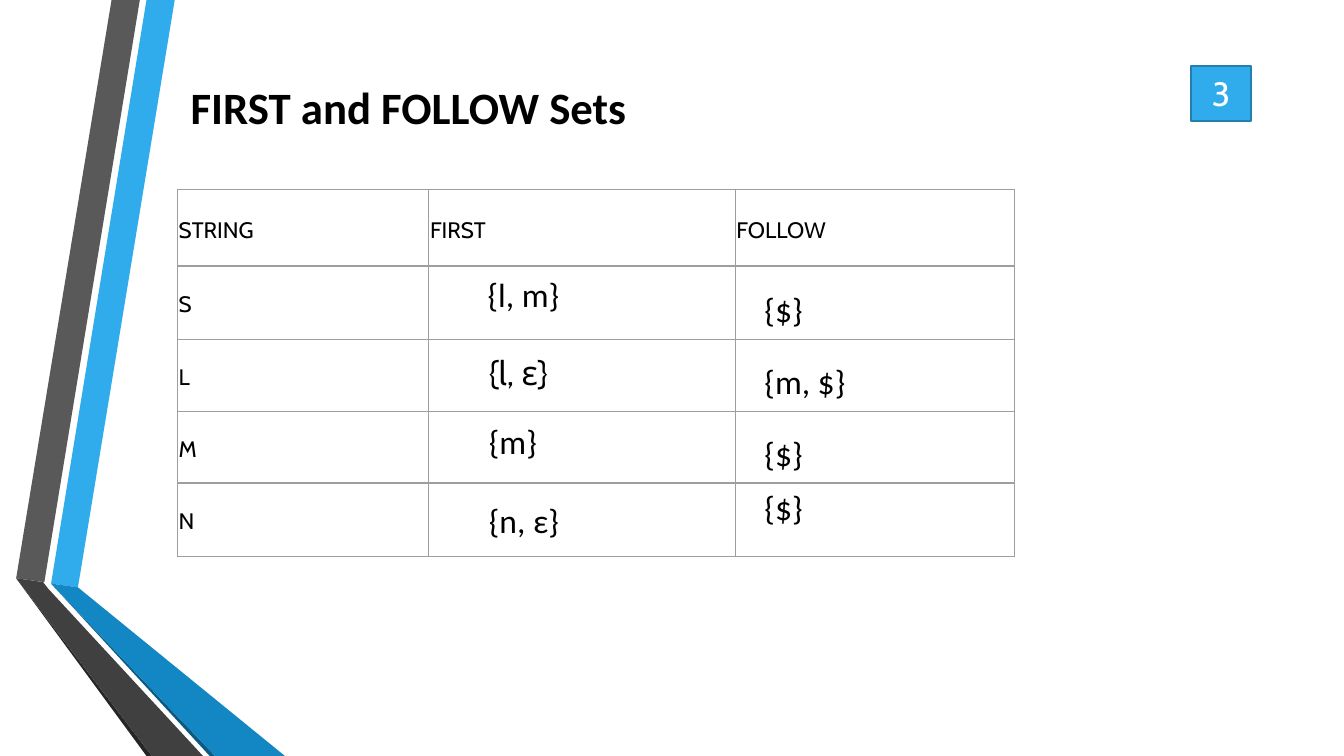
"""Build the slide that lists the FIRST and FOLLOW sets of a grammar."""
from lxml import etree
from pptx import Presentation
from pptx.dml.color import RGBColor
from pptx.enum.shapes import MSO_SHAPE
from pptx.enum.text import MSO_ANCHOR, PP_ALIGN
from pptx.oxml.ns import qn
from pptx.util import Inches, Pt

RECT = MSO_SHAPE.RECTANGLE
MIDDLE, TOP = MSO_ANCHOR.MIDDLE, MSO_ANCHOR.TOP
CENTER = PP_ALIGN.CENTER

BLACK = RGBColor(0x00, 0x00, 0x00)
WHITE = RGBColor(0xFF, 0xFF, 0xFF)
SKY = RGBColor(0x30, 0xAC, 0xEC)
BLUE = RGBColor(0x12, 0x87, 0xC3)
NAVY = RGBColor(0x0C, 0x5A, 0x82)
EDGE = RGBColor(0x24, 0x7F, 0xAF)
GRAY = RGBColor(0x59, 0x59, 0x59)
CHARCOAL = RGBColor(0x40, 0x40, 0x40)
SOOT = RGBColor(0x26, 0x26, 0x26)
BORDER = RGBColor(0x9E, 0x9E, 0x9E)

WIDTH, HEIGHT = Inches(10), Inches(5.625)

RIBBONS = [
    (SKY, [(3.8, 77.2), (5.8, 77.7), (13, 0), (10.9, 0)]),
    (GRAY, [(10.4, 0), (8.3, 0), (1.2, 76.5), (3.3, 77)]),
    (SOOT, [(1.2, 76.5), (10.9, 100), (11.3, 100)]),
    (NAVY, [(3.8, 77.2), (15.6, 100), (16, 100)]),
    (BLUE, [(3.8, 77.2), (16, 100), (21.2, 100), (5.8, 77.7)]),
    (CHARCOAL, [(15.1, 100), (3.6, 77.9), (3.2, 77), (1.2, 76.5), (11.3, 100)]),
]
HEADERS = ["STRING", "FIRST", "FOLLOW"]
SYMBOLS = ["S", "L", "M", "N"]
COLUMNS = [18.7, 22.8, 20.8]
ROWS = [10.1, 9.7, 9.5, 9.5, 9.7]
SETS = [
    ("{l, m}", 35.3, 35.4, "Calibri"),
    ("{l, ε}", 35.4, 45.7, "Cabin"),
    ("{m}", 35.4, 54.8, "Calibri"),
    ("{n, ε}", 35.4, 65.2, "Calibri"),
    ("{$}", 55.9, 37.3, "Calibri"),
    ("{m, $}", 55.9, 46.9, "Calibri"),
    ("{$}", 55.9, 56.4, "Calibri"),
    ("{$}", 55.9, 63.5, "Calibri"),
]


def across(percent):
    """Return a share of the slide's width."""
    return round(WIDTH * percent / 100)


def down(percent):
    """Return a share of the slide's height."""
    return round(HEIGHT * percent / 100)


def area(x, y, w, h):
    """Return a rectangle given in percent of the slide."""
    return across(x), down(y), across(w), down(h)


def write(tf, text, size, font, color=BLACK, bold=False):
    """Put one formatted paragraph in a text frame and return it."""
    tf.text = text
    p = tf.paragraphs[0]
    r = p.runs[0]
    r.font.size, r.font.name, r.font.bold = Pt(size), font, bold
    r.font.color.rgb = color
    return p


def add_ribbon(s, color, points):
    """Draw a filled polygon."""
    corners = [(across(x), down(y)) for x, y in points]
    builder = s.shapes.build_freeform(*corners[0])
    builder.add_line_segments(corners[1:], close=True)
    sp = builder.convert_to_shape()
    sp.shadow.inherit = False
    sp.fill.solid()
    sp.fill.fore_color.rgb = color
    sp.line.fill.background()


def add_text(s, box, text, size, font, anchor=TOP, bold=False):
    """Add a wrapping text box."""
    tf = s.shapes.add_textbox(*area(*box)).text_frame
    tf.word_wrap = True
    tf.vertical_anchor = anchor
    write(tf, text, size, font, bold=bold)


def add_badge(s, box, text):
    """Add the page number square."""
    sp = s.shapes.add_shape(RECT, *area(*box))
    sp.shadow.inherit = False
    sp.fill.solid()
    sp.fill.fore_color.rgb = SKY
    sp.line.color.rgb = EDGE
    sp.line.width = Pt(1.25)
    sp.text_frame.vertical_anchor = MIDDLE
    write(sp.text_frame, text, 18, "Cabin", WHITE).alignment = CENTER


def style_cell(cell):
    """Give a cell thin borders and no fill."""
    tc_pr = cell._tc.get_or_add_tcPr()
    for side in ("a:lnL", "a:lnR", "a:lnT", "a:lnB"):
        ln = etree.SubElement(tc_pr, qn(side), w=str(Pt(0.75)))
        fill = etree.SubElement(ln, qn("a:solidFill"))
        etree.SubElement(fill, qn("a:srgbClr"), val=str(BORDER))
    cell.fill.background()


def fill_cell(cell, text):
    """Write a label in a table cell."""
    cell.vertical_anchor = MIDDLE
    cell.margin_left = cell.margin_right = Inches(0.01)
    cell.margin_top = cell.margin_bottom = Inches(0.01)
    p = write(cell.text_frame, text, 12, "Cabin")
    p.line_spacing = 1.15
    p.space_after = Pt(8)


def add_sets_table(s, x, y):
    """Add the grid with its header row and symbol column."""
    box = area(x, y, sum(COLUMNS), sum(ROWS))
    table = s.shapes.add_table(len(ROWS), len(COLUMNS), *box).table
    table.first_row = table.horz_banding = False
    for column, width in zip(table.columns, COLUMNS):
        column.width = across(width)
    for row, height in zip(table.rows, ROWS):
        row.height = down(height)
    for cell in table.iter_cells():
        style_cell(cell)
    for i, text in enumerate(HEADERS):
        fill_cell(table.cell(0, i), text)
    for i, text in enumerate(SYMBOLS, 1):
        fill_cell(table.cell(i, 0), text)


def main():
    """Build and save the slide."""
    prs = Presentation()
    prs.slide_width, prs.slide_height = WIDTH, HEIGHT
    s = prs.slides.add_slide(prs.slide_layouts[6])
    for color, points in RIBBONS:
        add_ribbon(s, color, points)
    add_sets_table(s, 13.2, 25.1)
    add_text(s, (13.2, 9.6, 63.8, 8.9), "FIRST and FOLLOW Sets", 24, "Calibri",
             MIDDLE, True)
    for text, x, y, font in SETS:
        add_text(s, (x, y, 13, 7.1), text, 18, font)
    add_badge(s, (88.6, 8.7, 4.5, 7.3), "3")
    prs.save("out.pptx")


if __name__ == "__main__":
    main()
